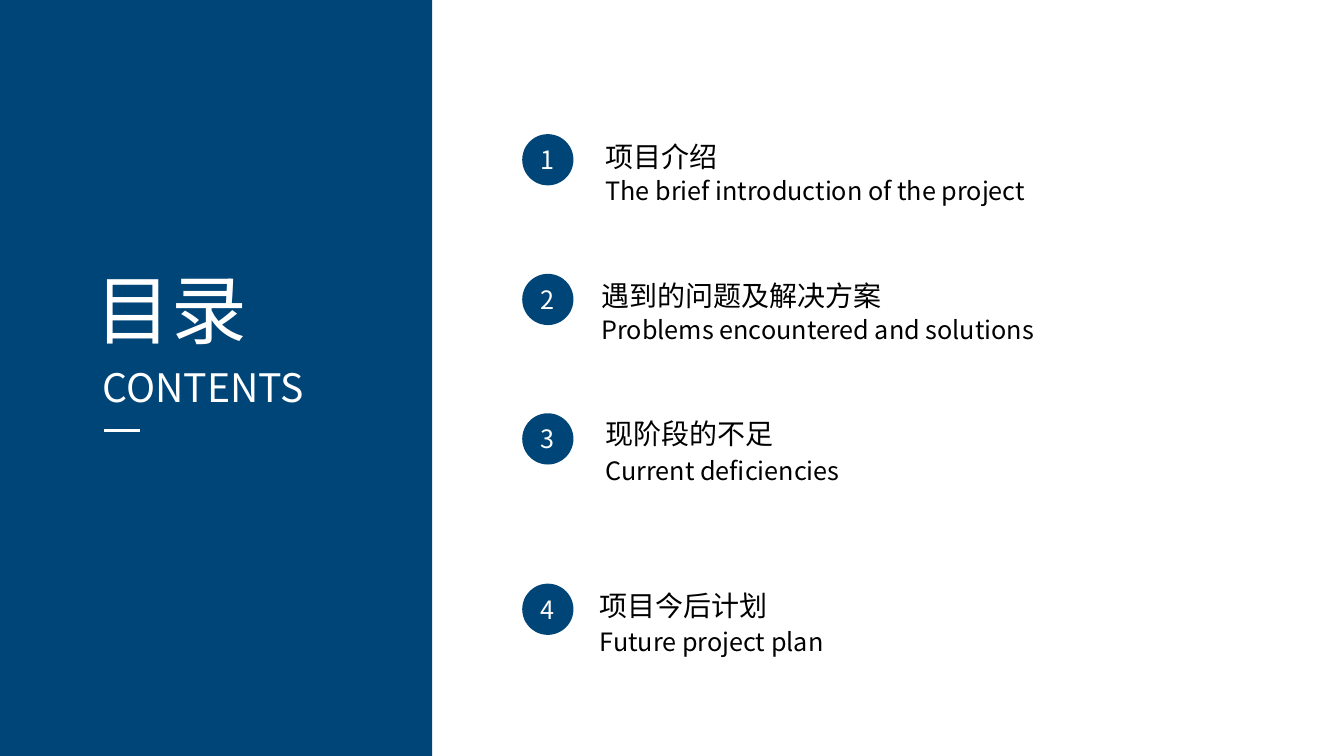
"""Build a contents slide with a blue side panel and four numbered entries."""
from dataclasses import dataclass

import lxml.etree
import pptx
import pptx.dml.color
import pptx.enum.shapes
import pptx.enum.text
import pptx.oxml.ns
import pptx.shapes.autoshape
import pptx.slide
import pptx.util

FONT = "Noto Sans CJK SC"
BLUE, WHITE, BLACK = "004578", "FFFFFF", "000000"
CIRCLE_LEFT, CIRCLE_SIZE = 373, 36.6
ALIGN = pptx.enum.text.PP_ALIGN
SHAPE = pptx.enum.shapes.MSO_SHAPE
Pt = pptx.util.Pt


@dataclass
class Label:
    text: str
    left: float
    top: float
    width: float
    height: float
    size: float
    color: str = BLACK
    align: ALIGN = ALIGN.LEFT


@dataclass
class Entry:
    heading: str
    subtitle: str
    left: float
    circle_top: float
    heading_top: float
    subtitle_top: float
    heading_width: float
    subtitle_width: float


TITLES = [
    Label("目录", 61.2, 184.3, 128.2, 72.7, 54, WHITE, ALIGN.JUSTIFY),
    Label("CONTENTS", 66.2, 256.3, 176.4, 41, 28, WHITE, ALIGN.JUSTIFY),
]
ENTRIES = [
    Entry("项目介绍", "The brief introduction of the project",
          425.5, 95.8, 95.8, 121.7, 227.5, 499),
    Entry("遇到的问题及解决方案", "Problems encountered and solutions",
          422.6, 195.6, 195.1, 221, 260, 399.6),
    Entry("现阶段的不足", "Current deficiencies",
          425.5, 295.2, 293.8, 321.8, 268.6, 534.5),
    Entry("项目今后计划", "Future project plan",
          421.2, 416.9, 416.9, 443.5, 167, 399.6),
]


def rgb(color: str) -> pptx.dml.color.RGBColor:
    return pptx.dml.color.RGBColor.from_string(color)


def write(frame: pptx.text.text.TextFrame, text: str, size: float,
          color: str, align: ALIGN) -> None:
    paragraph = frame.paragraphs[0]
    paragraph.alignment = align
    run = paragraph.add_run()
    run.text = text
    for name, value in {"name": FONT, "size": Pt(size)}.items():
        setattr(run.font, name, value)
    run.font.color.rgb = rgb(color)
    east_asian = lxml.etree.SubElement(
        run.font._element, pptx.oxml.ns.qn("a:ea"))
    east_asian.set("typeface", FONT)


def add_label(slide: pptx.slide.Slide, label: Label) -> None:
    box = slide.shapes.add_textbox(
        Pt(label.left), Pt(label.top), Pt(label.width), Pt(label.height))
    frame_format = {
        "word_wrap": True,
        "auto_size": pptx.enum.text.MSO_AUTO_SIZE.SHAPE_TO_FIT_TEXT,
    }
    for name, value in frame_format.items():
        setattr(box.text_frame, name, value)
    write(box.text_frame, label.text, label.size, label.color, label.align)


def add_blue_shape(slide: pptx.slide.Slide, kind: SHAPE, left: float, top: float,
                   width: float, height: float) -> pptx.shapes.autoshape.Shape:
    shape = slide.shapes.add_shape(kind, Pt(left), Pt(top), Pt(width), Pt(height))
    shape.shadow.inherit = False
    shape.fill.solid()
    shape.fill.fore_color.rgb = rgb(BLUE)
    shape.line.fill.background()
    return shape


def add_rule(slide: pptx.slide.Slide, left: float, right: float, top: float) -> None:
    rule = slide.shapes.add_connector(
        pptx.enum.shapes.MSO_CONNECTOR.STRAIGHT,
        Pt(left), Pt(top), Pt(right), Pt(top))
    rule.line.color.rgb = rgb(WHITE)
    rule.line.width = Pt(2.25)
    lxml.etree.SubElement(
        rule._element.spPr, pptx.oxml.ns.qn("a:effectLst"))


def add_entry(slide: pptx.slide.Slide, number: int, entry: Entry) -> None:
    circle = add_blue_shape(slide, SHAPE.OVAL, CIRCLE_LEFT, entry.circle_top,
                            CIRCLE_SIZE, CIRCLE_SIZE)
    circle.text_frame.vertical_anchor = pptx.enum.text.MSO_ANCHOR.MIDDLE
    write(circle.text_frame, str(number), 18, WHITE, ALIGN.CENTER)
    add_label(slide, Label(entry.heading, entry.left, entry.heading_top,
                           entry.heading_width, 31.5, 20))
    add_label(slide, Label(entry.subtitle, entry.left, entry.subtitle_top,
                           entry.subtitle_width, 29, 18))


def main() -> None:
    presentation = pptx.Presentation()
    presentation.slide_width, presentation.slide_height = Pt(960), Pt(540)
    slide = presentation.slides.add_slide(presentation.slide_layouts[6])
    add_blue_shape(slide, SHAPE.RECTANGLE, 0, 0, 308.6, 540)
    for title in TITLES:
        add_label(slide, title)
    add_rule(slide, 74.2, 100, 307.4)
    for number, entry in enumerate(ENTRIES, start=1):
        add_entry(slide, number, entry)
    presentation.save("out.pptx")


if __name__ == "__main__":
    main()
